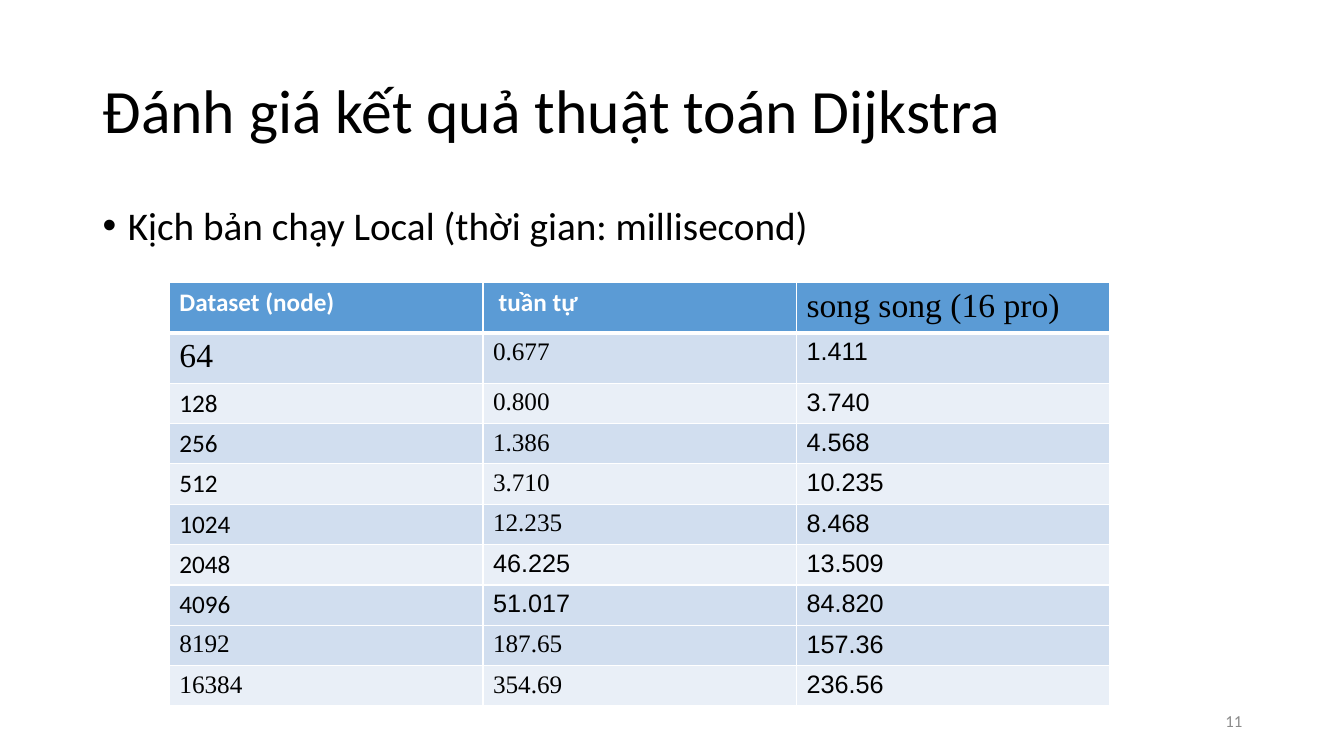
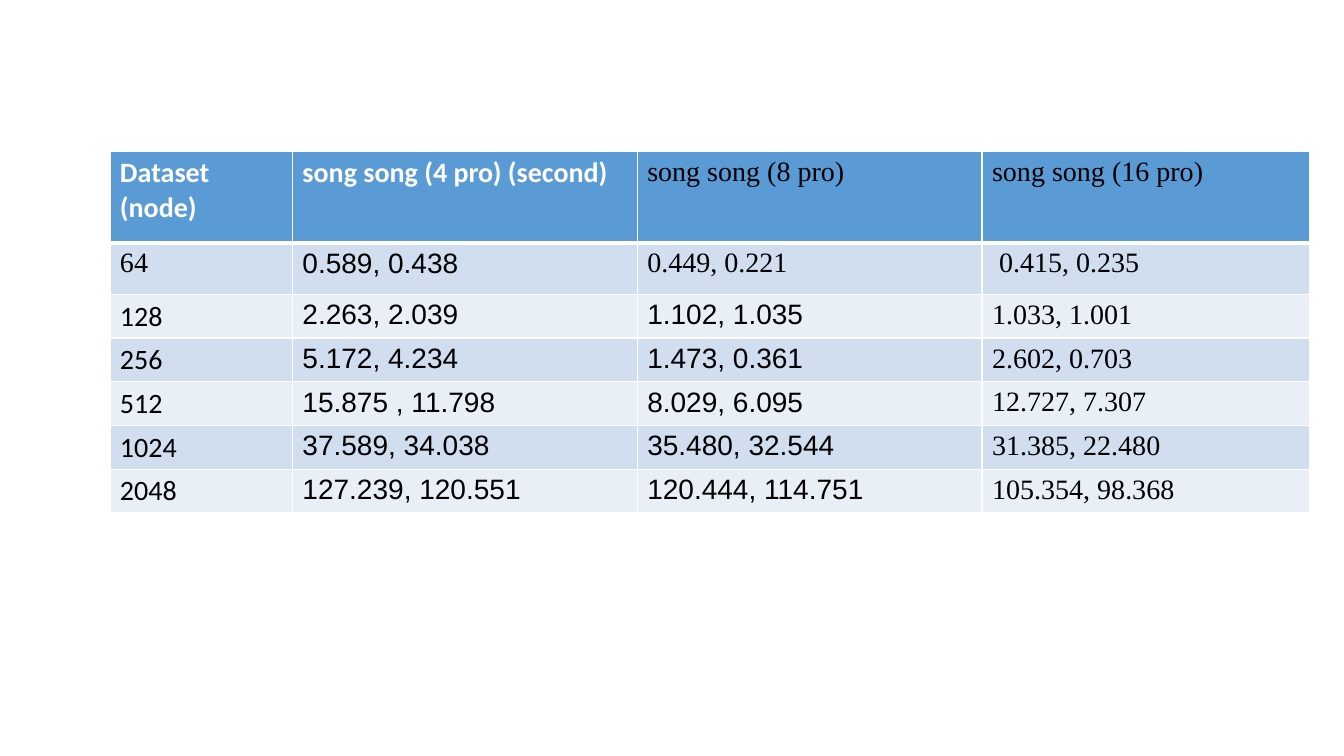
from dataclasses import dataclass

from lxml.etree import SubElement
from pptx import Presentation
from pptx.dml.color import RGBColor
from pptx.enum.text import MSO_ANCHOR, PP_ALIGN
from pptx.oxml import parse_xml
from pptx.oxml.ns import nsdecls, qn
from pptx.util import Pt

PX = 9144


@dataclass(frozen=True)
class Theme:
    ink: str = "000000"
    white: str = "FFFFFF"
    muted: str = "8B8B8B"
    header: str = "5B9BD5"
    dark_band: str = "D1DEEF"
    light_band: str = "E9EFF7"
    sans: str = "Calibri"
    serif: str = "Times New Roman"
    grotesque: str = "Arial"
    title: int = 44
    body: int = 28
    footer: int = 12
    big_cell: int = 24
    thin: float = 0.96
    thick: float = 3


THEME = Theme()
BANDS = {"H": THEME.header, "D": THEME.dark_band, "L": THEME.light_band}
CELL_FONTS = {
    "H": THEME.sans,
    "C": THEME.sans,
    "A": THEME.grotesque,
    "T": THEME.serif,
    "B": THEME.serif,
}

LOCAL_ROWS = [
    ("H", "HHB", ["Dataset (node)", " tuần tự", "song song (16 pro)"]),
    ("D", "BTA", ["64", "0.677", "1.411"]),
    ("L", "CTA", ["128", "0.800", "3.740"]),
    ("D", "CTA", ["256", "1.386", "4.568"]),
    ("L", "CTA", ["512", "3.710", "10.235"]),
    ("D", "CTA", ["1024", "12.235", "8.468"]),
    ("L", "CAA", ["2048", "46.225", "13.509"]),
    ("D", "CAA", ["4096", "51.017", "84.820"]),
    ("D", "TTA", ["8192", "187.65", "157.36"]),
    ("L", "TTA", ["16384", "354.69", "236.56"]),
]
PARALLEL_ROWS = [
    ("H", "HHTT", ["Dataset (node)", "song song (4 pro) (second)",
                   "song song (8 pro)", "song song (16 pro)"]),
    ("D", "TATT", ["64", "0.589, 0.438", "0.449, 0.221", " 0.415, 0.235"]),
    ("L", "CAAT", ["128", "2.263, 2.039", "1.102, 1.035", "1.033, 1.001"]),
    ("D", "CAAT", ["256", "5.172, 4.234", "1.473, 0.361", "2.602, 0.703"]),
    ("L", "CAAT", ["512", "15.875 , 11.798", "8.029, 6.095", "12.727, 7.307"]),
    ("D", "CAAT", ["1024", "37.589, 34.038", "35.480, 32.544", "31.385, 22.480"]),
    ("L", "CAAT", ["2048", "127.239, 120.551", "120.444, 114.751", "105.354, 98.368"]),
]


def add_run(p, text, size, color=THEME.ink, font=THEME.sans, bold=False):
    r = p.add_run()
    r.text = text
    r.font.size = Pt(size)
    r.font.name = font
    r.font.bold = bold
    r.font.color.rgb = RGBColor.from_string(color)


def add_text(s, box, text, size, color=THEME.ink, anchor=MSO_ANCHOR.MIDDLE,
             align=PP_ALIGN.LEFT, spacing=None):
    tf = s.shapes.add_textbox(*(v * PX for v in box)).text_frame
    tf.word_wrap = True
    tf.vertical_anchor = anchor
    p = tf.paragraphs[0]
    p.alignment = align
    p.line_spacing = spacing
    add_run(p, text, size, color)
    return p


def add_bullet(p, indent):
    pPr = p._p.get_or_add_pPr()
    pPr.set("marL", str(indent * PX))
    pPr.set("indent", str(-indent * PX))
    SubElement(pPr, qn("a:buFont")).set("typeface", THEME.grotesque)
    SubElement(pPr, qn("a:buChar")).set("char", "•")


def set_borders(cell, top, bottom):
    tcPr = cell._tc.get_or_add_tcPr()
    sides = [("L", THEME.thin), ("R", THEME.thin), ("T", top), ("B", bottom)]
    for i, (side, width) in enumerate(sides):
        tcPr.insert(i, parse_xml(
            f'<a:ln{side} {nsdecls("a")} w="{Pt(width)}"><a:solidFill>'
            f'<a:srgbClr val="{THEME.white}"/></a:solidFill></a:ln{side}>'))


def fill_cell(cell, text, style, band, size):
    cell.fill.solid()
    cell.fill.fore_color.rgb = RGBColor.from_string(BANDS[band])
    is_header = style == "H"
    add_run(cell.text_frame.paragraphs[0], text,
            THEME.big_cell if style == "B" else size,
            THEME.white if is_header else THEME.ink,
            CELL_FONTS[style], is_header)


def add_results_table(s, left, top, widths, heights, rows, size):
    frame = s.shapes.add_table(len(rows), len(widths), left * PX, top * PX,
                               sum(widths) * PX, sum(heights) * PX)
    table = frame.table
    for column, width in zip(table.columns, widths):
        column.width = width * PX
    for i, (band, styles, texts) in enumerate(rows):
        table.rows[i].height = heights[i] * PX
        for j, (style, text) in enumerate(zip(styles, texts)):
            cell = table.cell(i, j)
            fill_cell(cell, text, style, band, size)
            set_borders(cell, THEME.thick if i == 1 else THEME.thin,
                        THEME.thick if i == 0 else THEME.thin)


def add_local_slide(s):
    add_text(s, (92, 40, 1150, 145), "Đánh giá kết quả thuật toán Dijkstra",
             THEME.title, spacing=0.9)
    p = add_text(s, (92, 200, 1150, 476),
                 "Kịch bản chạy Local (thời gian: millisecond)",
                 THEME.body, anchor=MSO_ANCHOR.TOP, spacing=0.9)
    add_bullet(p, 25)
    add_text(s, (942, 695, 300, 40), "11", THEME.footer, THEME.muted,
             align=PP_ALIGN.RIGHT)
    add_results_table(s, 168, 280, [311] * 3, [47] * 2 + [39] * 6 + [38] * 2,
                      LOCAL_ROWS, 18)


def add_parallel_slide(s):
    add_results_table(s, 109, 150, [181, 342, 342, 325], [91, 51] + [43] * 5,
                      PARALLEL_ROWS, 20)


def main():
    prs = Presentation()
    prs.slide_width = 1333 * PX
    prs.slide_height = 750 * PX
    for build in (add_local_slide, add_parallel_slide):
        build(prs.slides.add_slide(prs.slide_layouts[6]))
    prs.save("out.pptx")


if __name__ == "__main__":
    main()
